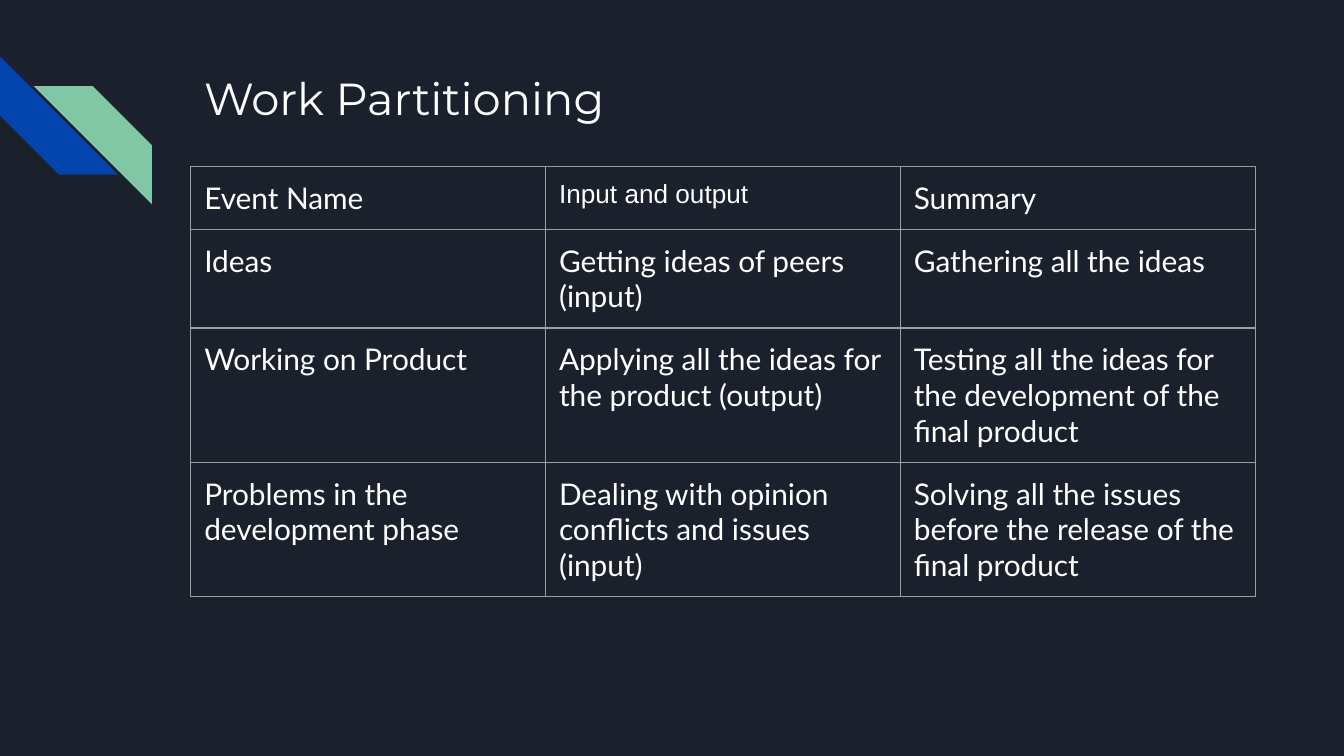
from dataclasses import dataclass

from lxml import etree
from pptx import Presentation
from pptx import util as u
from pptx.dml.color import RGBColor
from pptx.enum import shapes, text
from pptx.oxml.ns import qn


@dataclass(frozen=True)
class Theme:
    background: str = "1B212C"
    blue: str = "0145AC"
    green: str = "82C7A5"
    ink: str = "FFFFFF"
    border: str = "9E9E9E"
    border_width: float = 0.75
    title_font: str = "Montserrat"
    title_size: int = 24
    body_font: str = "Lato"
    body_size: int = 16
    alt_font: str = "Arial"
    alt_size: int = 14


THEME = Theme()
INSET = u.Inches(0.1)

ROWS = [
    ("Event Name", "Input and output", "Summary"),
    ("Ideas", "Getting ideas of peers (input)", "Gathering all the ideas"),
    ("Working on Product", "Applying all the ideas for the product (output)",
     "Testing all the ideas for the development of the final product"),
    ("Problems in the development phase",
     "Dealing with opinion conflicts and issues (input)",
     "Solving all the issues before the release of the final product"),
]


def format_text(tf, font, size):
    for p in tf.paragraphs:
        for r in p.runs:
            r.font.name = font
            r.font.size = u.Pt(size)
            r.font.color.rgb = RGBColor.from_string(THEME.ink)


def set_insets(box):
    box.margin_left = box.margin_right = INSET
    box.margin_top = box.margin_bottom = INSET


def add_stripe(slide, left, top, color, rotation):
    side = u.Inches(0.88)
    sp = slide.shapes.add_shape(shapes.MSO_SHAPE.DIAGONAL_STRIPE,
                                u.Inches(left), u.Inches(top), side, side)
    sp.rotation = rotation
    sp.shadow.inherit = False
    sp.fill.solid()
    sp.fill.fore_color.rgb = RGBColor.from_string(color)
    sp.line.fill.background()


def add_title(slide, title):
    sp = slide.shapes.add_textbox(u.Inches(1.42), u.Inches(0.43),
                                  u.Inches(7.7), u.Inches(1))
    tf = sp.text_frame
    tf.word_wrap = True
    tf.vertical_anchor = text.MSO_ANCHOR.TOP
    set_insets(tf)
    tf.text = title
    format_text(tf, THEME.title_font, THEME.title_size)


def set_borders(cell):
    # Border lines come before the fill in the cell properties
    tc_pr = cell._tc.get_or_add_tcPr()
    for i, side in enumerate(("lnL", "lnR", "lnT", "lnB")):
        ln = etree.Element(qn(f"a:{side}"), w=str(u.Pt(THEME.border_width)))
        fill = etree.SubElement(ln, qn("a:solidFill"))
        etree.SubElement(fill, qn("a:srgbClr"), val=THEME.border)
        tc_pr.insert(i, ln)


def add_table(slide, rows):
    col_width, row_height = u.Inches(2.64), u.Inches(0.42)
    n_rows, n_cols = len(rows), len(rows[0])
    table = slide.shapes.add_table(n_rows, n_cols, u.Inches(1.42), u.Inches(1.24),
                                   col_width * n_cols, row_height * n_rows).table
    table.first_row = table.horz_banding = False
    for i, row in enumerate(rows):
        for j, value in enumerate(row):
            cell = table.cell(i, j)
            cell.text = value
            cell.fill.background()
            set_insets(cell)
            set_borders(cell)
            format_text(cell.text_frame, THEME.body_font, THEME.body_size)
    # The middle heading has its own type
    format_text(table.cell(0, 1).text_frame, THEME.alt_font, THEME.alt_size)


def main():
    prs = Presentation()
    # Widescreen, 16:9
    prs.slide_width = u.Inches(10)
    prs.slide_height = prs.slide_width * 9 // 16
    slide = prs.slides.add_slide(prs.slide_layouts[6])
    slide.background.fill.solid()
    slide.background.fill.fore_color.rgb = RGBColor.from_string(THEME.background)

    # Corner decoration
    add_stripe(slide, 0, 0.42, THEME.blue, 270)
    add_stripe(slide, 0.25, 0.64, THEME.green, 90)

    # Content
    add_title(slide, "Work Partitioning")
    add_table(slide, ROWS)

    prs.save("out.pptx")


if __name__ == "__main__":
    main()
